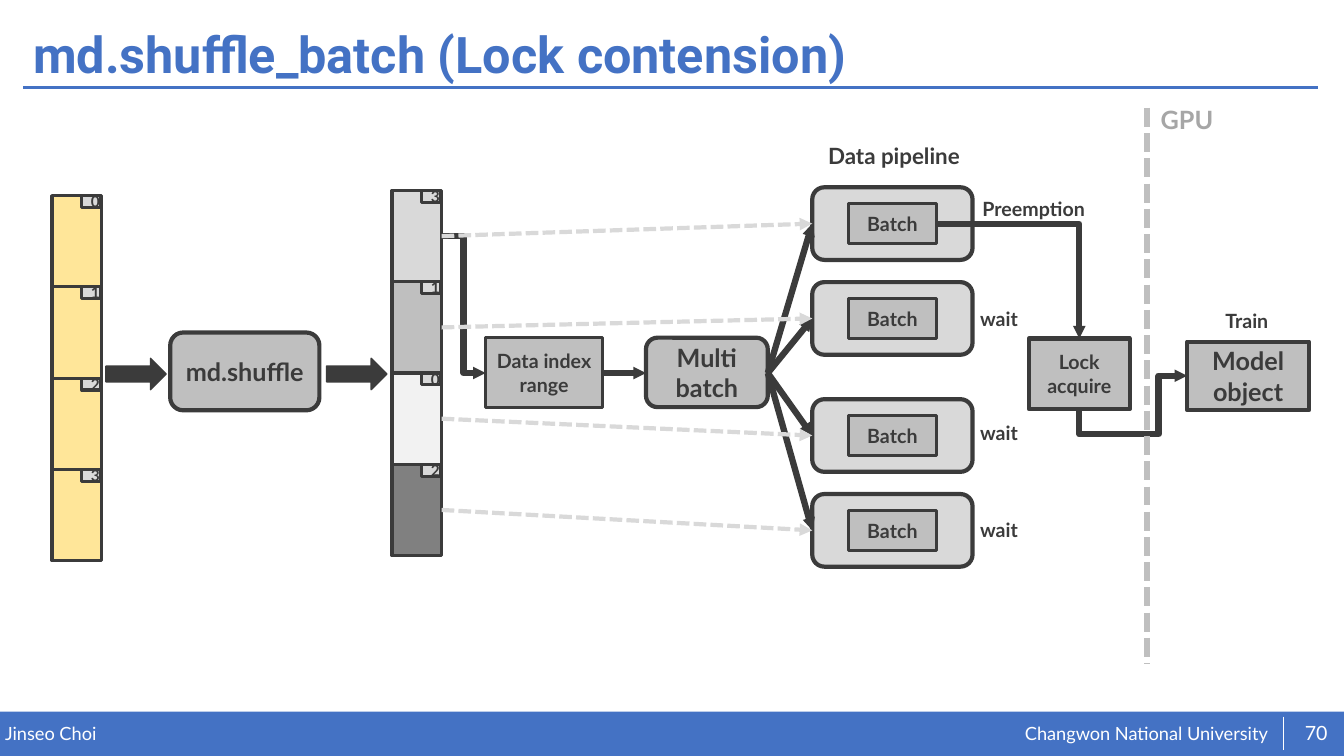
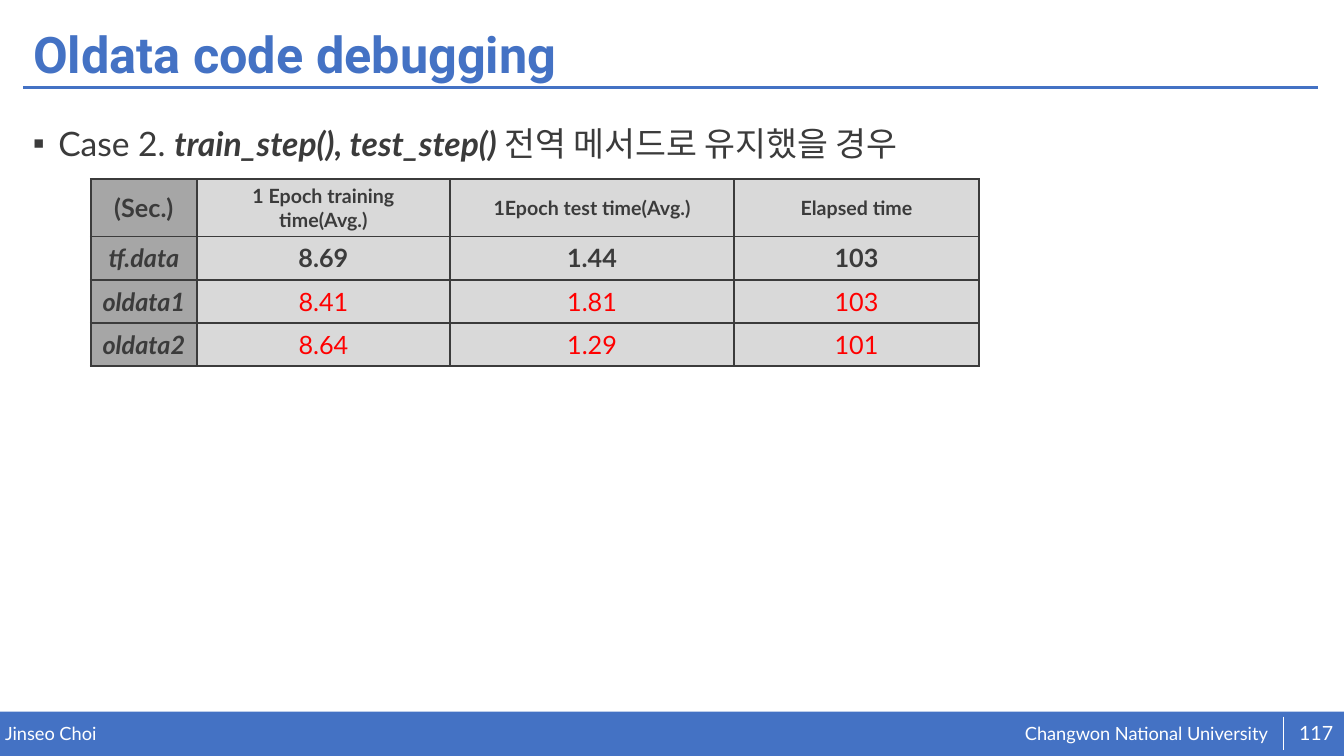
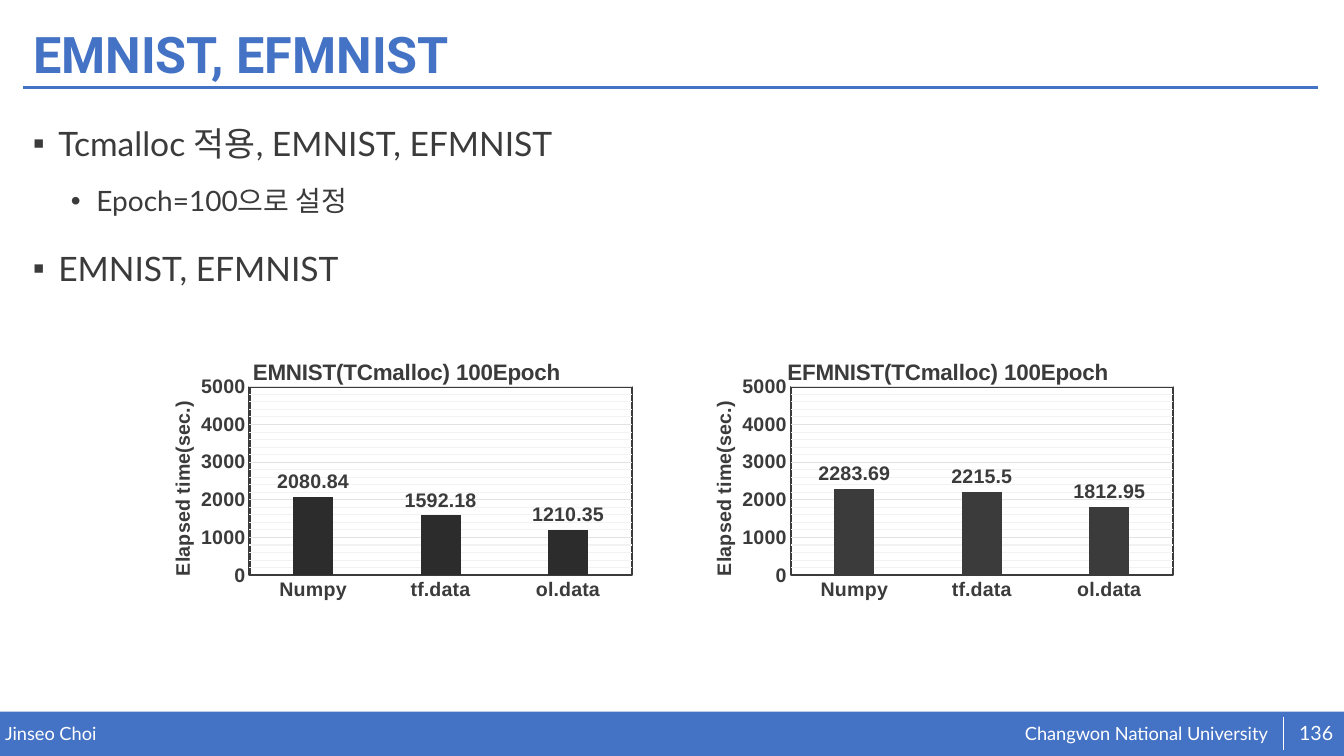
from dataclasses import dataclass

from lxml import etree
from pptx import Presentation
from pptx.chart.data import CategoryChartData
from pptx.dml.color import RGBColor
from pptx.enum.chart import XL_CHART_TYPE, XL_LABEL_POSITION, XL_TICK_MARK
from pptx.enum.dml import MSO_LINE
from pptx.enum.shapes import MSO_CONNECTOR, MSO_SHAPE as SHAPE
from pptx.enum.text import MSO_ANCHOR as ANCHOR, MSO_AUTO_SIZE, PP_ALIGN as ALIGN
from pptx.oxml import parse_xml
from pptx.oxml.ns import nsdecls, qn
from pptx.util import Cm, Pt


@dataclass(frozen=True)
class Theme:
    blue: str = "4472C4"
    ink: str = "3B3B3B"
    black: str = "2C2C2C"
    white: str = "FFFFFF"
    red: str = "FF0000"
    yellow: str = "FFE699"
    dark: str = "808080"
    mid: str = "A6A6A6"
    gray: str = "BFBFBF"
    light: str = "D9D9D9"
    pale: str = "F2F2F2"
    grid: str = "E2E2E2"
    body_font: str = "Lato"
    title_font: str = "Roboto"
    chart_font: str = "Arial"
    title: int = 36
    body: int = 24
    sub: int = 20
    large: int = 18
    medium: int = 16
    small: int = 14
    footer: int = 13
    tag: int = 11


T = Theme()


def rgb(value):
    return RGBColor.from_string(value)


def set_font(font, size, color=T.ink, bold=False, italic=False, name=T.body_font):
    font.size, font.bold, font.italic, font.name = Pt(size), bold, italic, name
    font.color.rgb = rgb(color)


def write(p, text, **fmt):
    """Add one formatted run to a paragraph."""
    r = p.add_run()
    r.text = text
    set_font(r.font, **fmt)


def write_lines(tf, text, align=ALIGN.LEFT, **fmt):
    """Write each line of text as its own paragraph."""
    for i, line in enumerate(text.split("\n")):
        p = tf.add_paragraph() if i else tf.paragraphs[0]
        p.alignment = align
        write(p, line, **fmt)


def set_line(line, color, width):
    line.color.rgb = rgb(color)
    line.width = Pt(width)


def line_xml(tag, color, width):
    """Return a solid line element such as a:ln or a:lnL."""
    return parse_xml(f'<a:{tag} {nsdecls("a")} w="{Pt(width)}"><a:solidFill>'
                     f'<a:srgbClr val="{color}"/></a:solidFill></a:{tag}>')


class Deck:
    def __init__(self):
        self.prs = Presentation()
        self.prs.slide_width, self.prs.slide_height = Cm(33.87), Cm(19.05)
        self.s = None

    def slide(self, title, number):
        self.s = self.prs.slides.add_slide(self.prs.slide_layouts[5])
        sp = self.s.shapes.title
        sp.left, sp.top, sp.width, sp.height = Cm(0.58), Cm(0.46), Cm(32.66), Cm(1.96)
        tf = sp.text_frame
        tf.word_wrap, tf.auto_size = True, MSO_AUTO_SIZE.NONE
        tf.vertical_anchor = ANCHOR.MIDDLE
        write_lines(tf, title, size=T.title, color=T.blue, bold=True, name=T.title_font)
        tf.paragraphs[0].line_spacing = 0.9

        self.box(0, 17.93, 33.87, 1.12, fill=T.blue)
        footer = dict(size=T.footer, color=T.white, inset=0)
        self.text(25.83, 18.19, 6.4, 0.58, "Changwon National University", **footer)
        self.text(0.13, 18.21, 16.64, 0.56, "Jinseo Choi", **footer)
        self.line((0.58, 2.21), (33.22, 2.21), T.blue, 2)
        self.line((32.33, 18.06), (32.33, 18.9), T.white, 0.5)
        self.text(32.56, 17.96, 1.22, 1.02, str(number), size=T.small, color=T.white,
                  inset=0, align=ALIGN.CENTER, anchor=ANCHOR.MIDDLE)

    def box(self, x, y, w, h, text="", kind=SHAPE.RECTANGLE, fill=T.gray,
            line=None, width=2.25, size=T.small, on=None):
        sp = (on or self.s).shapes.add_shape(kind, Cm(x), Cm(y), Cm(w), Cm(h))
        sp.shadow.inherit = False
        sp.fill.solid()
        sp.fill.fore_color.rgb = rgb(fill)
        if line:
            set_line(sp.line, line, width)
        else:
            sp.line.fill.background()
        if text:
            write_lines(sp.text_frame, text, ALIGN.CENTER, size=size, bold=True)

    def text(self, x, y, w, h, text, wrap=True, inset=None, anchor=ANCHOR.TOP, **fmt):
        tf = self.s.shapes.add_textbox(Cm(x), Cm(y), Cm(w), Cm(h)).text_frame
        tf.word_wrap, tf.vertical_anchor = wrap, anchor
        if inset is not None:
            tf.margin_left = tf.margin_right = tf.margin_top = tf.margin_bottom = Cm(inset)
        write_lines(tf, text, **fmt)

    def label(self, x, y, w, text, size=T.small, color=T.ink):
        self.text(x, y, w, 0.9, text, wrap=False, size=size, color=color, bold=True)

    def line(self, start, end, color=T.ink, width=4.5, dashed=False, head=None,
             kind=MSO_CONNECTOR.STRAIGHT):
        """Draw a connector; head is the arrowhead size, sm or med."""
        points = [Cm(v) for v in (*start, *end)]
        cx = self.s.shapes.add_connector(kind, *points)
        set_line(cx.line, color, width)
        if dashed:
            cx.line.dash_style = MSO_LINE.SQUARE_DOT
        if head:
            ln = cx.element.spPr.find(qn("a:ln"))
            etree.SubElement(ln, qn("a:tailEnd"), type="triangle", w=head, len=head)
        etree.SubElement(cx.element.spPr, qn("a:effectLst"))
        return cx

    def elbow(self, start, end, preset="bentConnector3", adjust=(), turned=False):
        """Draw a bent arrow; a turned one leaves its start vertically."""
        if turned:
            mx, my = (start[0] + end[0]) / 2, (start[1] + end[1]) / 2
            start, end = [(mx + y - my, my - x + mx) for x, y in (start, end)]
        cx = self.line(start, end, head="sm", kind=MSO_CONNECTOR.ELBOW)
        spPr = cx.element.spPr
        if turned:
            spPr.find(qn("a:xfrm")).set("rot", "5400000")
        geom = spPr.find(qn("a:prstGeom"))
        geom.set("prst", preset)
        guides = geom.find(qn("a:avLst"))
        for i, value in enumerate(adjust, 1):
            etree.SubElement(guides, qn("a:gd"), name=f"adj{i}", fmla=f"val {value}")

    def bullets(self, items):
        """Write (level, runs) items, each run a (text, format) pair."""
        levels = [("▪", 0.64, T.body, 10), ("•", 1.6, T.sub, 5)]
        tf = self.s.shapes.add_textbox(Cm(0.58), Cm(2.57), Cm(32.66), Cm(14.3)).text_frame
        tf.word_wrap = True
        for i, (level, runs) in enumerate(items):
            mark, indent, size, before = levels[level]
            p = tf.add_paragraph() if i else tf.paragraphs[0]
            p.level, p.line_spacing = level, 1.4
            if i:
                p.space_before = Pt(before)
            pPr = p._p.get_or_add_pPr()
            pPr.set("marL", str(Cm(indent)))
            pPr.set("indent", str(-Cm(0.64)))
            etree.SubElement(pPr, qn("a:buFont"), typeface=T.chart_font)
            etree.SubElement(pPr, qn("a:buChar"), char=mark)
            for text, fmt in runs:
                write(p, text, size=size, **fmt)

    def table(self, x, y, widths, heights, rows, style):
        """Draw a table; style(row, column) gives a cell's fill and text format."""
        frame = self.s.shapes.add_table(len(rows), len(widths), Cm(x), Cm(y),
                                        Cm(sum(widths)), Cm(sum(heights)))
        table = frame.table
        table.first_row = table.horz_banding = False
        for column, w in zip(table.columns, widths):
            column.width = Cm(w)
        for i, (row, h) in enumerate(zip(rows, heights)):
            table.rows[i].height = Cm(h)
            for j, text in enumerate(row):
                cell = table.cell(i, j)
                fill, fmt = style(i, j)
                tcPr = cell._tc.get_or_add_tcPr()
                for side in "LRTB":
                    tcPr.append(line_xml(f"ln{side}", T.ink, 1.5))
                cell.fill.solid()
                cell.fill.fore_color.rgb = rgb(fill)
                cell.vertical_anchor = ANCHOR.MIDDLE
                write_lines(cell.text_frame, text, ALIGN.CENTER, **fmt)

    def column_chart(self, x, y, w, h, title, axis_title, cats, vals, color):
        data = CategoryChartData()
        data.categories = cats
        data.add_series("Series 1", vals)
        chart = self.s.shapes.add_chart(XL_CHART_TYPE.COLUMN_CLUSTERED, Cm(x), Cm(y),
                                        Cm(w), Cm(h), data).chart
        fmt = dict(size=T.small, bold=True, name=T.chart_font)
        set_font(chart.font, **fmt)
        chart.has_legend = False
        chart.has_title = True
        write_lines(chart.chart_title.text_frame, title, ALIGN.CENTER,
                    **{**fmt, "size": T.medium})

        plot = chart.plots[0]
        plot.gap_width, plot.overlap, plot.vary_by_categories = 219, -27, False
        series = plot.series[0]
        series.format.fill.solid()
        series.format.fill.fore_color.rgb = rgb(color)
        labels = series.data_labels
        labels.show_value, labels.position = True, XL_LABEL_POSITION.OUTSIDE_END
        set_font(labels.font, **fmt)

        cat, val = chart.category_axis, chart.value_axis
        for axis in (cat, val):
            axis.major_tick_mark = axis.minor_tick_mark = XL_TICK_MARK.NONE
            set_font(axis.tick_labels.font, **fmt)
        set_line(cat.format.line, T.ink, 1.5)
        val.format.line.fill.background()
        val.minimum_scale, val.maximum_scale = 0, 5000
        val.major_unit, val.minor_unit = 1000, 200
        val.has_major_gridlines = val.has_minor_gridlines = True
        set_line(val.major_gridlines.format.line, T.grid, 0.75)
        val.has_title = True
        write_lines(val.axis_title.text_frame, axis_title, ALIGN.CENTER, **fmt)
        self.frame_plot(chart)

    @staticmethod
    def frame_plot(chart):
        """Fix the inner plot area, outline it and lighten the minor grid."""
        area = chart.element.find(".//" + qn("c:plotArea"))
        for old in area.findall(qn("c:layout")):
            area.remove(old)
        places = dict(x=0.173, y=0.16, w=0.795, h=0.685)
        values = "".join(f'<c:{k} val="{v}"/>' for k, v in places.items())
        area.insert(0, parse_xml(
            f'<c:layout {nsdecls("c")}><c:manualLayout><c:layoutTarget val="inner"/>'
            f'<c:xMode val="edge"/><c:yMode val="edge"/>{values}'
            '</c:manualLayout></c:layout>'))
        minor = area.find(".//" + qn("c:minorGridlines"))
        for part, color, width in ((area, T.ink, 1.5), (minor, T.pale, 0.75)):
            spPr = etree.SubElement(part, qn("c:spPr"))
            spPr.append(line_xml("ln", color, width))
        chart.element.find(qn("c:chart")).addnext(parse_xml(
            f'<c:spPr {nsdecls("c", "a")}><a:solidFill><a:srgbClr val="{T.white}"/>'
            '</a:solidFill><a:ln><a:noFill/></a:ln></c:spPr>'))


BLOCK_H = 2.3
PIPE_X, PIPE_W, PIPE_H = 20.47, 4.04, 1.83
BATCH_W, BATCH_H = 2.21, 1.02
FLOW_Y = 9.4


def add_queue(d, x, y, tags, fills):
    """Stack numbered data blocks in one group."""
    group = d.s.shapes.add_group_shape()
    for i, fill in enumerate(fills):
        d.box(x, y + i * BLOCK_H, 1.25, BLOCK_H, fill=fill, line=T.ink, on=group)
    for i, tag in enumerate(tags):
        d.box(x + 0.75, y + i * BLOCK_H, 0.48, 0.3, tag, fill=T.light, line=T.ink,
              size=T.tag, on=group)


def lock_slide(d):
    d.slide("md.shuffle_batch (Lock contension)", 70)
    process = SHAPE.FLOWCHART_ALTERNATE_PROCESS
    d.box(4.29, 8.38, 3.76, 1.96, "md.shuffle", process, line=T.ink, width=3, size=T.large)
    add_queue(d, 1.31, 4.93, "0123", [T.yellow] * 4)
    add_queue(d, 9.88, 4.8, "3102", [T.light, T.gray, T.pale, T.dark])
    for x in (2.67, 8.23):
        d.box(x, 9.03, 1.52, 0.79, kind=SHAPE.RIGHT_ARROW, fill=T.ink, line=T.ink, width=1)
    d.box(29.92, 8.61, 3.07, 1.73, "Model\nobject", line=T.ink, width=3, size=T.large)
    d.box(16.28, 8.51, 3.07, 1.75, "Multi\nbatch", SHAPE.ROUNDED_RECTANGLE,
          line=T.ink, width=3, size=T.large)
    d.box(12.24, 8.51, 2.95, 1.75, "Data index\nrange", line=T.ink)
    d.box(25.93, 8.53, 2.54, 1.78, "Lock\nacquire", line=T.ink, width=3)

    pipe_tops = (4.72, 7.11, 10.06, 12.45)
    for top in pipe_tops:
        d.box(PIPE_X, top, PIPE_W, PIPE_H, kind=process, fill=T.light, line=T.ink, width=3)
        d.box(PIPE_X + (PIPE_W - BATCH_W) / 2, top + (PIPE_H - BATCH_H) / 2,
              BATCH_W, BATCH_H, "Batch", line=T.ink)
        d.line((19.35, FLOW_Y), (PIPE_X, top + PIPE_H / 2), head="sm")
    d.line((15.21, FLOW_Y), (16.28, FLOW_Y), head="sm")
    d.elbow((11.13, 5.95), (12.24, FLOW_Y))
    d.elbow((23.6, 5.64), (27.2, 8.53), "bentConnector2")
    d.elbow((27.2, 10.31), (29.92, 9.47), "bentConnector4", (-75200, 73500), turned=True)
    for i, top in enumerate(pipe_tops):
        d.line((11.13, 5.95 + i * BLOCK_H), (PIPE_X, top + PIPE_H / 2), T.light, 3,
               dashed=True, head="med")
    d.line((28.91, 2.72), (28.91, 16.74), T.gray, dashed=True)

    d.label(20.62, 3.45, 3.89, "Data pipeline", T.medium)
    d.label(24.51, 4.83, 3.12, "Preemption")
    for y in (7.62, 10.49, 12.93):
        d.label(24.45, y, 1.47, "wait")
    d.label(30.63, 7.65, 1.65, "Train")
    d.label(29, 2.51, 1.83, "GPU", T.large, T.mid)


def timing_style(row, column):
    fill = T.light if column else T.mid
    if row == 0:
        return fill, dict(size=T.small if column else T.large, bold=True)
    if column == 0:
        return fill, dict(size=T.large, bold=True, italic=True)
    if row == 1:
        return fill, dict(size=T.large, bold=True)
    return fill, dict(size=T.large, color=T.red)


def debugging_slide(d):
    d.slide("Oldata code debugging", 117)
    d.bullets([(0, [("Case 2. ", {}),
                    ("train_step(), test_step() ", dict(bold=True, italic=True)),
                    ("전역 메서드로 유지했을 경우", {})])])
    rows = [
        ("(Sec.)", "1 Epoch training time(Avg.)", "1Epoch test time(Avg.)", "Elapsed time"),
        ("tf.data", "8.69", "1.44", "103"),
        ("oldata1", "8.41", "1.81", "103"),
        ("oldata2", "8.64", "1.29", "101"),
    ]
    d.table(2.29, 4.52, (2.67, 6.38, 7.16, 6.17), (0.97, 1.09, 1.09, 1.09), rows,
            timing_style)


def results_slide(d):
    d.slide("EMNIST, EFMNIST", 136)
    d.bullets([(0, [("Tcmalloc 적용, EMNIST, EFMNIST", {})]),
               (1, [("Epoch=100으로 설정", {})]),
               (0, [("EMNIST, EFMNIST", {})])])
    charts = [(4.19, "EMNIST", (2080.84, 1592.18, 1210.35), T.black),
              (17.83, "EFMNIST", (2283.69, 2215.5, 1812.95), T.ink)]
    for x, name, vals, color in charts:
        d.column_chart(x, 8.64, 12.12, 6.93, f"{name}(TCmalloc) 100Epoch",
                       "Elapsed time(sec.)", ("Numpy", "tf.data", "ol.data"), vals, color)


def main():
    d = Deck()
    lock_slide(d)
    debugging_slide(d)
    results_slide(d)
    d.prs.save("out.pptx")


if __name__ == "__main__":
    main()
